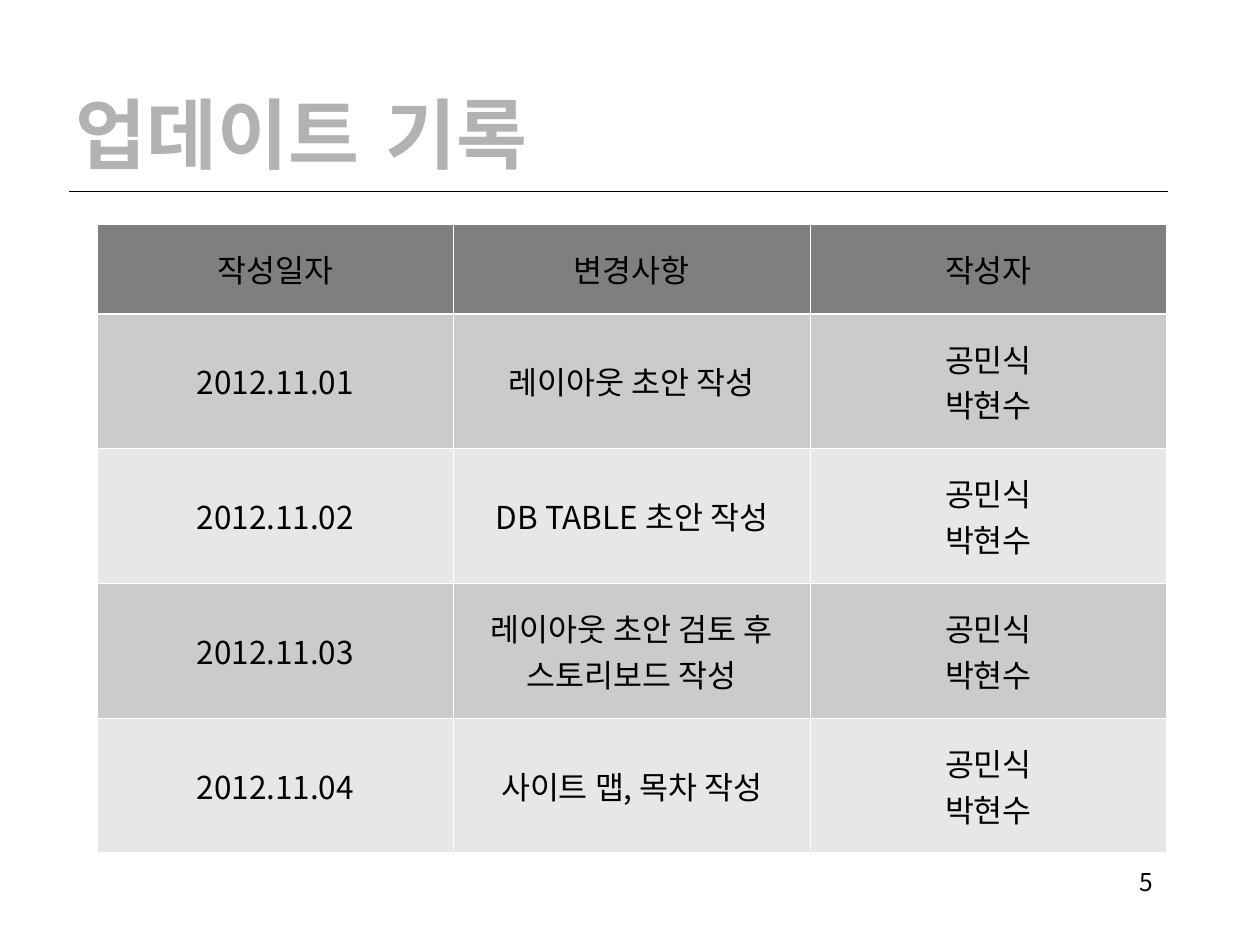
import pptx
import pptx.util
import pptx.dml.color
import pptx.enum.shapes
import pptx.enum.text
import pptx.oxml.ns
import lxml.etree

Inches = pptx.util.Inches
Pt = pptx.util.Pt
RGBColor = pptx.dml.color.RGBColor
PP_ALIGN = pptx.enum.text.PP_ALIGN
MSO_ANCHOR = pptx.enum.text.MSO_ANCHOR
qn = pptx.oxml.ns.qn

BLACK = RGBColor(0x00, 0x00, 0x00)
WHITE = RGBColor(0xFF, 0xFF, 0xFF)
TITLE_GRAY = RGBColor(0xB2, 0xB2, 0xB2)
HEADER_GRAY = RGBColor(0x7F, 0x7F, 0x7F)
BAND_GRAYS = (RGBColor(0xCB, 0xCB, 0xCB), RGBColor(0xE7, 0xE7, 0xE7))

TITLE_FONT = "DejaVu Sans"
BODY_FONT = "Noto Sans CJK KR"
THIN, THICK = 0.45, 1.47

AUTHORS = "공민식\n박현수"
HEADER = ("작성일자", "변경사항", "작성자")
UPDATES = (
    ("2012.11.01", "레이아웃 초안 작성"),
    ("2012.11.02", "DB TABLE 초안 작성"),
    ("2012.11.03", "레이아웃 초안 검토 후 스토리보드 작성"),
    ("2012.11.04", "사이트 맵, 목차 작성"),
)


class SlideBuilder:
    """Draws styled elements on one slide."""

    def __init__(self, slide):
        self.slide = slide

    def format_text(self, frame, size, align, color=BLACK, face=BODY_FONT, bold=False):
        frame.word_wrap = True
        for paragraph in frame.paragraphs:
            paragraph.alignment = align
            for run in paragraph.runs:
                run.font.size = Pt(size)
                run.font.bold = bold
                run.font.name = face
                run.font.color.rgb = color
                east_asian = lxml.etree.Element(qn("a:ea"), typeface=face)
                run.font._element.find(qn("a:latin")).addnext(east_asian)

    def title(self, text, left, top, width, height):
        title = self.slide.shapes.title
        title.left, title.top = Inches(left), Inches(top)
        title.width, title.height = Inches(width), Inches(height)
        frame = title.text_frame
        frame.text = text
        frame.auto_size = pptx.enum.text.MSO_AUTO_SIZE.NONE
        frame.vertical_anchor = MSO_ANCHOR.MIDDLE
        self.format_text(frame, 44, PP_ALIGN.LEFT, TITLE_GRAY, TITLE_FONT, True)

    def page_number(self, text, left, top, width, height):
        box = self.slide.shapes.add_textbox(
            Inches(left), Inches(top), Inches(width), Inches(height))
        box.text_frame.text = text
        self.format_text(box.text_frame, 14, PP_ALIGN.RIGHT)

    def rule(self, left, right, y):
        rule = self.slide.shapes.add_connector(
            pptx.enum.shapes.MSO_CONNECTOR.STRAIGHT,
            Inches(left), Inches(y), Inches(right), Inches(y))
        rule.line.color.rgb = BLACK
        rule.line.width = Pt(0.75)
        lxml.etree.SubElement(rule._element.spPr, qn("a:effectLst"))

    def cell_borders(self, cell, top, bottom):
        properties = cell._tc.get_or_add_tcPr()
        for side, width in (("L", THIN), ("R", THIN), ("T", top), ("B", bottom)):
            border = lxml.etree.SubElement(
                properties, qn(f"a:ln{side}"), w=str(int(Pt(width))))
            fill = lxml.etree.SubElement(border, qn("a:solidFill"))
            lxml.etree.SubElement(fill, qn("a:srgbClr"), val=str(WHITE))

    def table(self, rows, left, top, column_width, header_height, row_height):
        columns = len(rows[0])
        height = header_height + row_height * (len(rows) - 1)
        table = self.slide.shapes.add_table(
            len(rows), columns, Inches(left), Inches(top),
            Inches(column_width * columns), Inches(height)).table
        for column in table.columns:
            column.width = Inches(column_width)
        for index, texts in enumerate(rows):
            is_header = index == 0
            table.rows[index].height = Inches(header_height if is_header else row_height)
            color = HEADER_GRAY if is_header else BAND_GRAYS[(index - 1) % 2]
            for cell, text in zip(table.rows[index].cells, texts):
                cell.text_frame.text = text
                cell.vertical_anchor = MSO_ANCHOR.MIDDLE
                self.cell_borders(cell, top=THICK if index == 1 else THIN,
                                  bottom=THICK if is_header else THIN)
                cell.fill.solid()
                cell.fill.fore_color.rgb = color
                self.format_text(cell.text_frame, 18, PP_ALIGN.CENTER)


def main():
    presentation = pptx.Presentation()
    presentation.slide_width = Inches(10)
    presentation.slide_height = Inches(7.5)
    title_only = presentation.slide_layouts[5]
    builder = SlideBuilder(presentation.slides.add_slide(title_only))

    builder.page_number("5", 7.17, 6.83, 2.08, 0.5)
    builder.title("업데이트 기록", 0.5, 0.63, 9, 0.84)
    builder.rule(0.55, 9.27, 1.52)
    rows = [HEADER] + [(date, change, AUTHORS) for date, change in UPDATES]
    builder.table(rows, left=0.77, top=1.78, column_width=2.83,
                  header_height=0.71, row_height=1.07)

    presentation.save("out.pptx")


if __name__ == "__main__":
    main()
